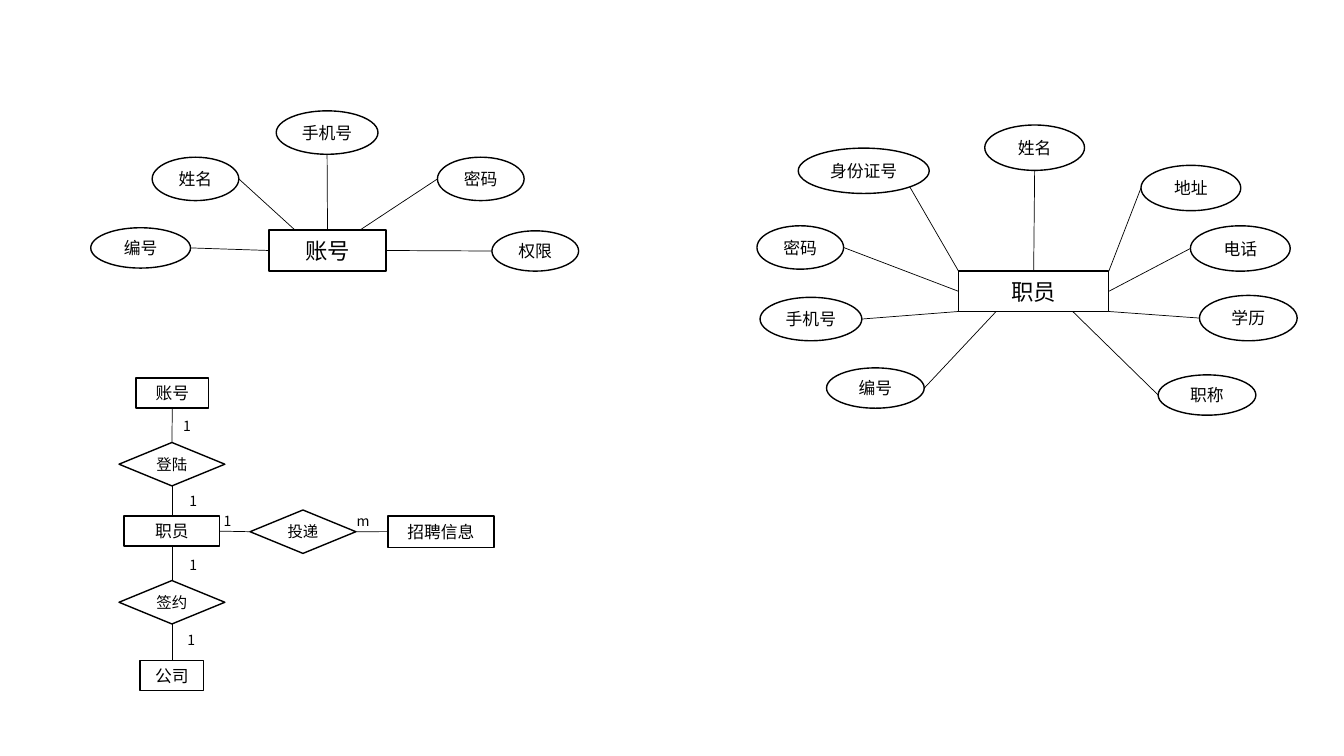
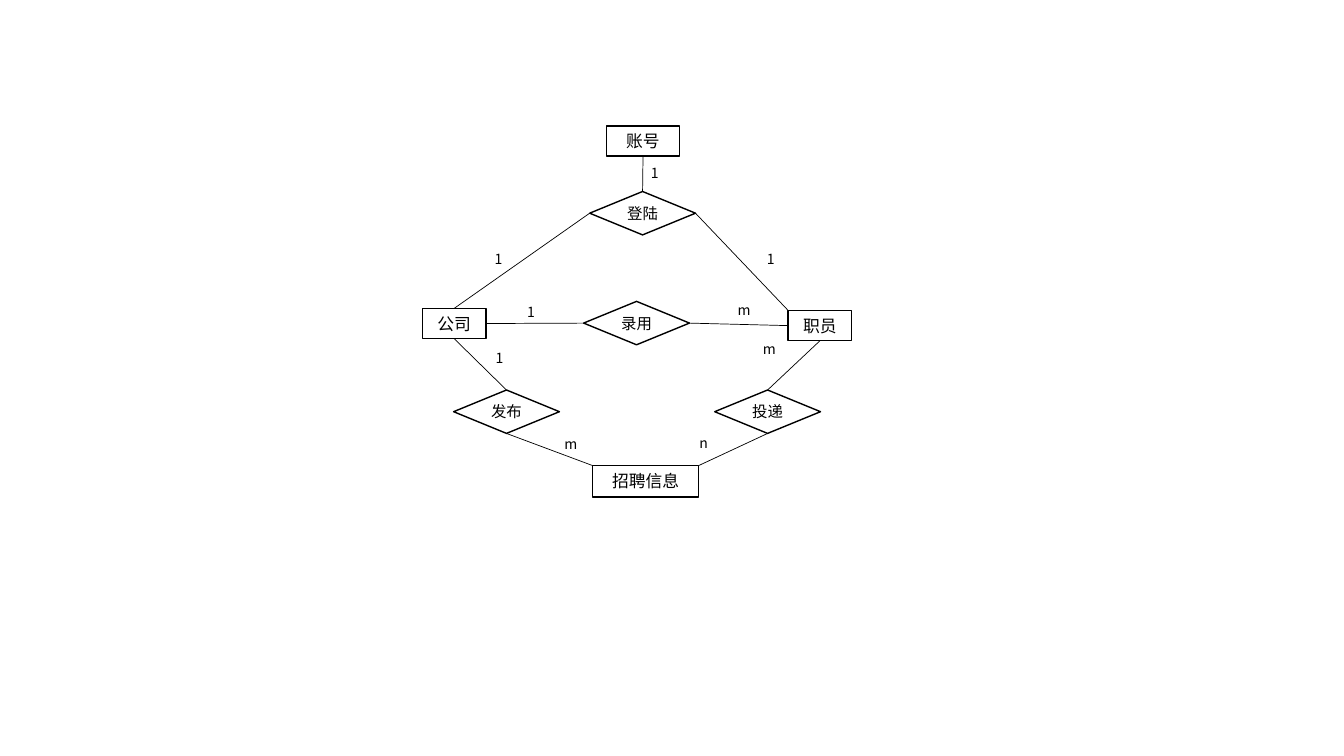
from lxml import etree
from pptx import Presentation
from pptx.dml.color import RGBColor
from pptx.enum.shapes import MSO_CONNECTOR, MSO_SHAPE
from pptx.enum.text import MSO_ANCHOR, MSO_AUTO_SIZE, PP_ALIGN
from pptx.oxml.ns import qn
from pptx.util import Pt

BLACK = RGBColor(0, 0, 0)
WHITE = RGBColor(255, 255, 255)
FONT = "Noto Sans CJK SC"

TOP, LEFT, BOTTOM, RIGHT = (0.5, 0), (0, 0.5), (0.5, 1), (1, 0.5)
TOP_LEFT, TOP_RIGHT, BOTTOM_LEFT, BOTTOM_RIGHT = (0, 0), (1, 0), (0, 1), (1, 1)
SITES = [TOP, LEFT, BOTTOM, RIGHT]


class Diagram:
    def __init__(self):
        self.deck = Presentation()
        self.deck.slide_width, self.deck.slide_height = Pt(960), Pt(540)
        self.page = None

    def new_page(self):
        self.page = self.deck.slides.add_slide(self.deck.slide_layouts[6])
        background = self.page.background.fill
        background.solid()
        background.fore_color.rgb = WHITE

    def set_text(self, box, text, size, align):
        para = box.text_frame.paragraphs[0]
        para.text = text
        para.alignment = align
        para.font.size = Pt(size)
        para.font.name = FONT
        para.font.color.rgb = BLACK
        properties = para._p.find(".//" + qn("a:defRPr"))
        etree.SubElement(properties, qn("a:ea")).set("typeface", FONT)

    def node(self, kind, text, left, top, width, height, size):
        box = self.page.shapes.add_shape(kind, Pt(left), Pt(top), Pt(width), Pt(height))
        box.shadow.inherit = False
        box.fill.solid()
        box.fill.fore_color.rgb = WHITE
        box.line.color.rgb = BLACK
        box.line.width = Pt(1)
        frame = box.text_frame
        frame.vertical_anchor = MSO_ANCHOR.MIDDLE
        frame.margin_left = frame.margin_right = 0
        frame.margin_top = frame.margin_bottom = 0
        self.set_text(box, text, size, PP_ALIGN.CENTER)
        return box

    def entity(self, text, left, top, width, height=21.6, size=12):
        return self.node(MSO_SHAPE.RECTANGLE, text, left, top, width, height, size)

    def attribute(self, text, left, top, width, height):
        return self.node(MSO_SHAPE.OVAL, text, left, top, width, height, 12)

    def relation(self, text, left, top):
        return self.node(MSO_SHAPE.DIAMOND, text, left, top, 75.6, 31, 11)

    def label(self, text, left, top):
        box = self.page.shapes.add_textbox(Pt(left), Pt(top), Pt(28), Pt(19.4))
        box.text_frame.word_wrap = True
        box.text_frame.auto_size = MSO_AUTO_SIZE.SHAPE_TO_FIT_TEXT
        self.set_text(box, text, 10, PP_ALIGN.LEFT)

    def link(self, start, start_spot, end, end_spot):
        ends = [(start, start_spot), (end, end_spot)]
        points = [
            round(value)
            for box, (across, down) in ends
            for value in (box.left + box.width * across, box.top + box.height * down)
        ]
        line = self.page.shapes.add_connector(MSO_CONNECTOR.STRAIGHT, *points)
        line.line.color.rgb = BLACK
        line.line.width = Pt(0.5)
        etree.SubElement(line._element.spPr, qn("a:effectLst"))
        for (box, spot), connect in zip(ends, (line.begin_connect, line.end_connect)):
            if box.auto_shape_type != MSO_SHAPE.OVAL and spot in SITES:
                connect(box, SITES.index(spot))

    def attributes(self, entity, rows):
        for text, place, spot, entity_spot in rows:
            self.link(self.attribute(text, *place), spot, entity, entity_spot)

    def links(self, rows):
        for row in rows:
            self.link(*row)

    def labels(self, rows):
        for row in rows:
            self.label(*row)


def attributes_page(diagram):
    diagram.new_page()
    staff = diagram.entity("职员", 684.7, 193.7, 107.3, 28.8, 16)
    diagram.attributes(staff, [
        ("编号", (590.4, 262.8, 69.8, 28.8), RIGHT, (0.25, 1)),
        ("身份证号", (570.2, 105.8, 93.6, 32.4), (0.85, 0.85), TOP_LEFT),
        ("姓名", (703.4, 89.3, 71.3, 32.4), BOTTOM, TOP),
        ("电话", (850.3, 161.3, 71.3, 32.4), LEFT, RIGHT),
        ("学历", (856.8, 211, 69.8, 32.4), LEFT, BOTTOM_RIGHT),
        ("职称", (827.3, 267.8, 69.8, 28.8), LEFT, (0.76, 1)),
        ("地址", (815, 118.1, 71.3, 32.4), LEFT, TOP_RIGHT),
        ("密码", (540.7, 161.3, 61.9, 31), RIGHT, LEFT),
        ("手机号", (542.9, 212.4, 72.7, 31), RIGHT, BOTTOM_LEFT),
    ])

    account = diagram.entity("账号", 192.2, 164.2, 83.5, 29.5, 16)
    diagram.attributes(account, [
        ("编号", (64.8, 162.7, 71.3, 28.8), RIGHT, LEFT),
        ("姓名", (108.7, 112.3, 61.9, 31), RIGHT, (0.22, 0)),
        ("密码", (312.5, 112.3, 61.9, 31), LEFT, (0.78, 0)),
        ("权限", (351.4, 164.9, 61.9, 28.8), LEFT, RIGHT),
        ("手机号", (197.3, 79.2, 72.7, 31), BOTTOM, TOP),
    ])

    account = diagram.entity("账号", 97.2, 270, 51.8)
    staff = diagram.entity("职员", 88.6, 368.6, 68.4)
    company = diagram.entity("公司", 100.1, 471.6, 45.4)
    job = diagram.entity("招聘信息", 277.2, 368.6, 75.6, 22.3)
    login = diagram.relation("登陆", 85, 316.1)
    sign = diagram.relation("签约", 85, 414.7)
    apply = diagram.relation("投递", 178.6, 364.3)
    chain = [account, login, staff, sign, company]
    for upper, lower in zip(chain, chain[1:]):
        diagram.link(upper, BOTTOM, lower, TOP)
    diagram.links([(staff, RIGHT, apply, LEFT), (apply, RIGHT, job, LEFT)])
    diagram.labels([
        ("1", 123.8, 294.5),
        ("1", 128.2, 348.5),
        ("1", 128.2, 393.8),
        ("1", 126.7, 447.8),
        ("1", 152.6, 362.9),
        ("m", 247.7, 362.2),
    ])


def relations_page(diagram):
    diagram.new_page()
    account = diagram.entity("账号", 433.4, 90, 51.8)
    company = diagram.entity("公司", 301.7, 220.3, 45.4)
    staff = diagram.entity("职员", 563, 221.8, 45.4)
    job = diagram.entity("招聘信息", 423.4, 332.6, 75.6, 22.3)
    login = diagram.relation("登陆", 421.2, 136.8)
    hire = diagram.relation("录用", 416.9, 215.3)
    publish = diagram.relation("发布", 324, 278.6)
    apply = diagram.relation("投递", 510.5, 278.6)
    diagram.links([
        (account, BOTTOM, login, TOP),
        (login, LEFT, company, TOP),
        (login, RIGHT, staff, TOP_LEFT),
        (company, RIGHT, hire, LEFT),
        (hire, RIGHT, staff, LEFT),
        (company, BOTTOM, publish, TOP),
        (staff, BOTTOM, apply, TOP),
        (publish, BOTTOM, job, TOP_LEFT),
        (apply, BOTTOM, job, TOP_RIGHT),
    ])
    diagram.labels([
        ("1", 457.9, 113.8),
        ("1", 346.3, 175.7),
        ("1", 540.7, 175.7),
        ("1", 369.4, 213.1),
        ("m", 519.8, 211.7),
        ("1", 347, 246.2),
        ("m", 537.8, 239.8),
        ("m", 396, 307.4),
        ("n", 492.5, 306.7),
    ])


def main():
    diagram = Diagram()
    attributes_page(diagram)
    relations_page(diagram)
    diagram.deck.save("out.pptx")


if __name__ == "__main__":
    main()
